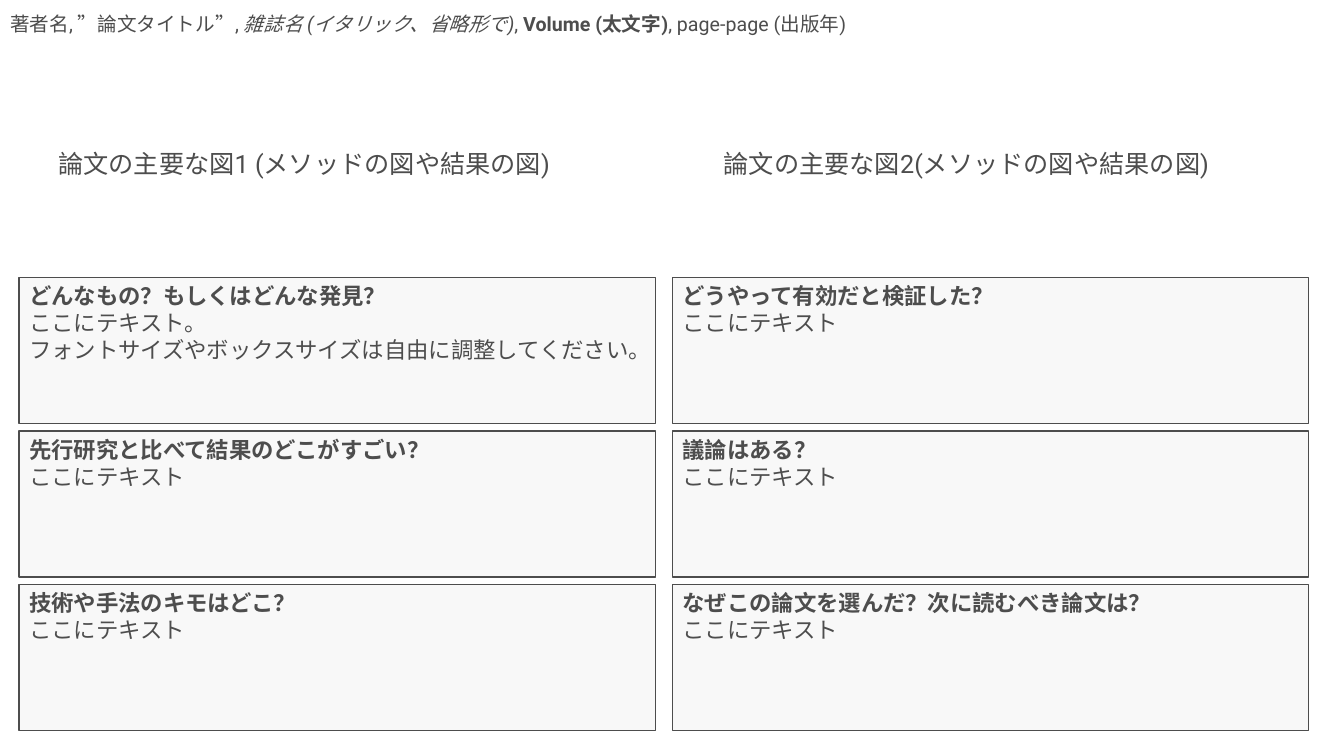
from dataclasses import dataclass

from pptx import Presentation
from pptx.dml.color import RGBColor
from pptx.enum import shapes, text
from pptx.util import Inches, Pt


@dataclass(frozen=True)
class Theme:
    font: str = "Roboto"
    ink: RGBColor = RGBColor(0x4D, 0x4D, 0x4D)
    panel: RGBColor = RGBColor(0xF8, 0xF8, 0xF8)
    citation: Pt = Pt(14)
    caption: Pt = Pt(18)
    body: Pt = Pt(16)
    border: Pt = Pt(1)


theme = Theme()


def set_frame(tf):
    tf.word_wrap = True
    tf.auto_size = text.MSO_AUTO_SIZE.NONE
    tf.vertical_anchor = text.MSO_ANCHOR.TOP


def style(p, size, bold=None):
    p.alignment = text.PP_ALIGN.LEFT
    p.font.name = theme.font
    p.font.size = size
    p.font.color.rgb = theme.ink
    p.font.bold = bold


prs = Presentation()
prs.slide_width, prs.slide_height = Inches(13.33), Inches(7.5)
s = prs.slides.add_slide(prs.slide_layouts[5])

# Citation line as the title
title = s.shapes.title
title.left, title.top = Inches(0), Inches(0.07)
title.width, title.height = Inches(13.33), Inches(0.34)
set_frame(title.text_frame)
p = title.text_frame.paragraphs[0]
style(p, theme.citation)
for words, bold, italic in [
    ("著者名, ”論文タイトル”, ", False, False),
    ("雑誌名 (イタリック、省略形で)", False, True),
    (", ", False, False),
    ("Volume (太文字)", True, False),
    (", page-page (出版年)", False, False),
]:
    r = p.add_run()
    r.text = words
    r.font.bold, r.font.italic = bold, italic

# Figure captions
for left, caption in [
    (0.48, "論文の主要な図1 (メソッドの図や結果の図)"),
    (7.08, "論文の主要な図2(メソッドの図や結果の図)"),
]:
    sp = s.shapes.add_textbox(Inches(left), Inches(1.42), Inches(5.73), Inches(0.4))
    set_frame(sp.text_frame)
    p = sp.text_frame.paragraphs[0]
    p.text = caption
    style(p, theme.caption)

# Question panels: two columns of three, each a bold question and its answer
answer = "ここにテキスト"
columns = [
    [
        ["どんなもの？もしくはどんな発見？", "ここにテキスト。",
         "フォントサイズやボックスサイズは自由に調整してください。"],
        ["先行研究と比べて結果のどこがすごい？", answer],
        ["技術や手法のキモはどこ？", answer],
    ],
    [
        ["どうやって有効だと検証した？", answer],
        ["議論はある？", answer],
        ["なぜこの論文を選んだ？次に読むべき論文は？", answer],
    ],
]
for col, panels in enumerate(columns):
    for row, lines in enumerate(panels):
        sp = s.shapes.add_shape(
            shapes.MSO_SHAPE.RECTANGLE,
            Inches(0.19 + 6.48 * col), Inches(2.75 + 1.525 * row),
            Inches(6.31), Inches(1.45),
        )
        sp.shadow.inherit = False
        sp.fill.solid()
        sp.fill.fore_color.rgb = theme.panel
        sp.line.color.rgb = theme.ink
        sp.line.width = theme.border
        tf = sp.text_frame
        set_frame(tf)
        tf.text = "\n".join(lines)
        for i, p in enumerate(tf.paragraphs):
            style(p, theme.body, bold=i == 0)

prs.save("out.pptx")
